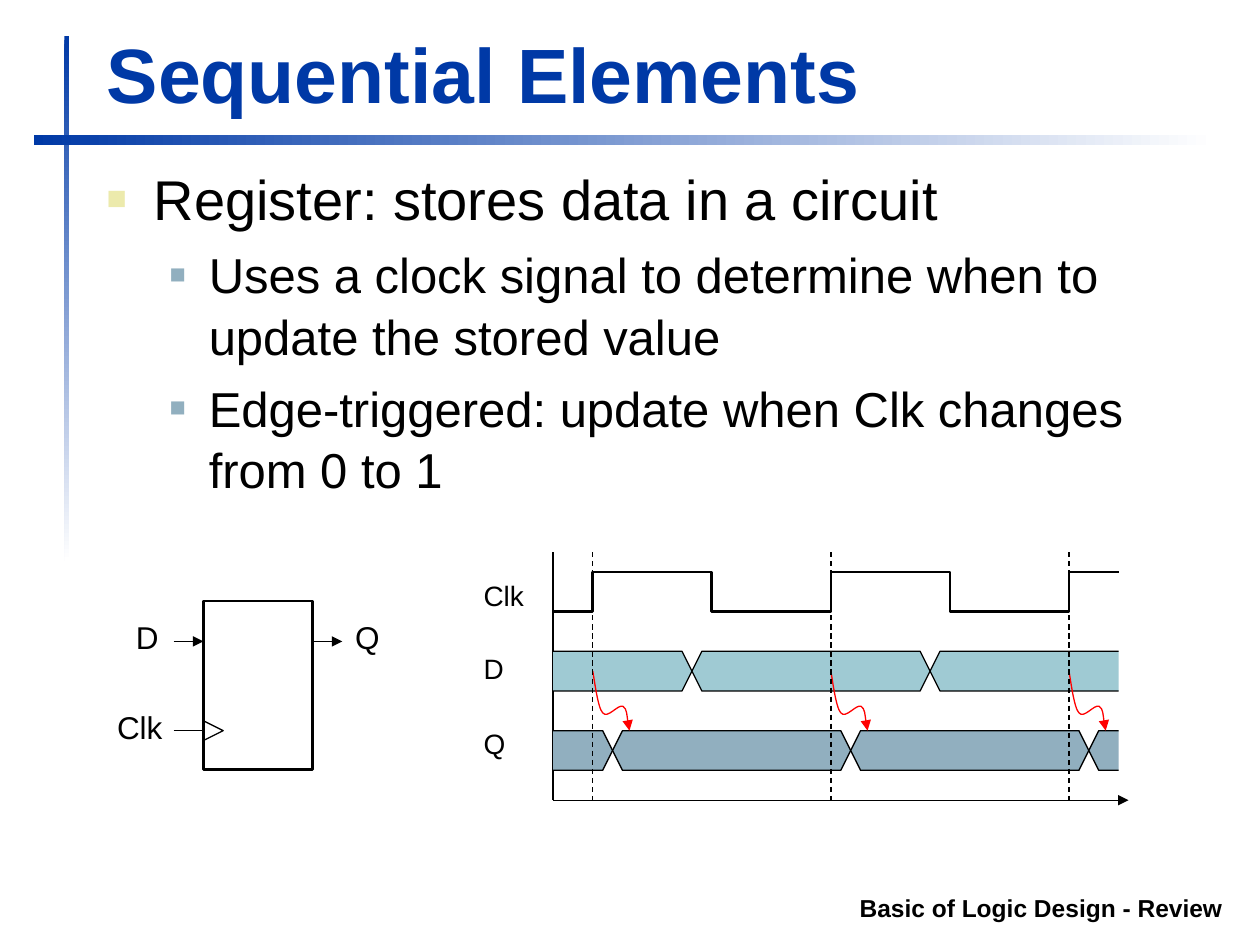
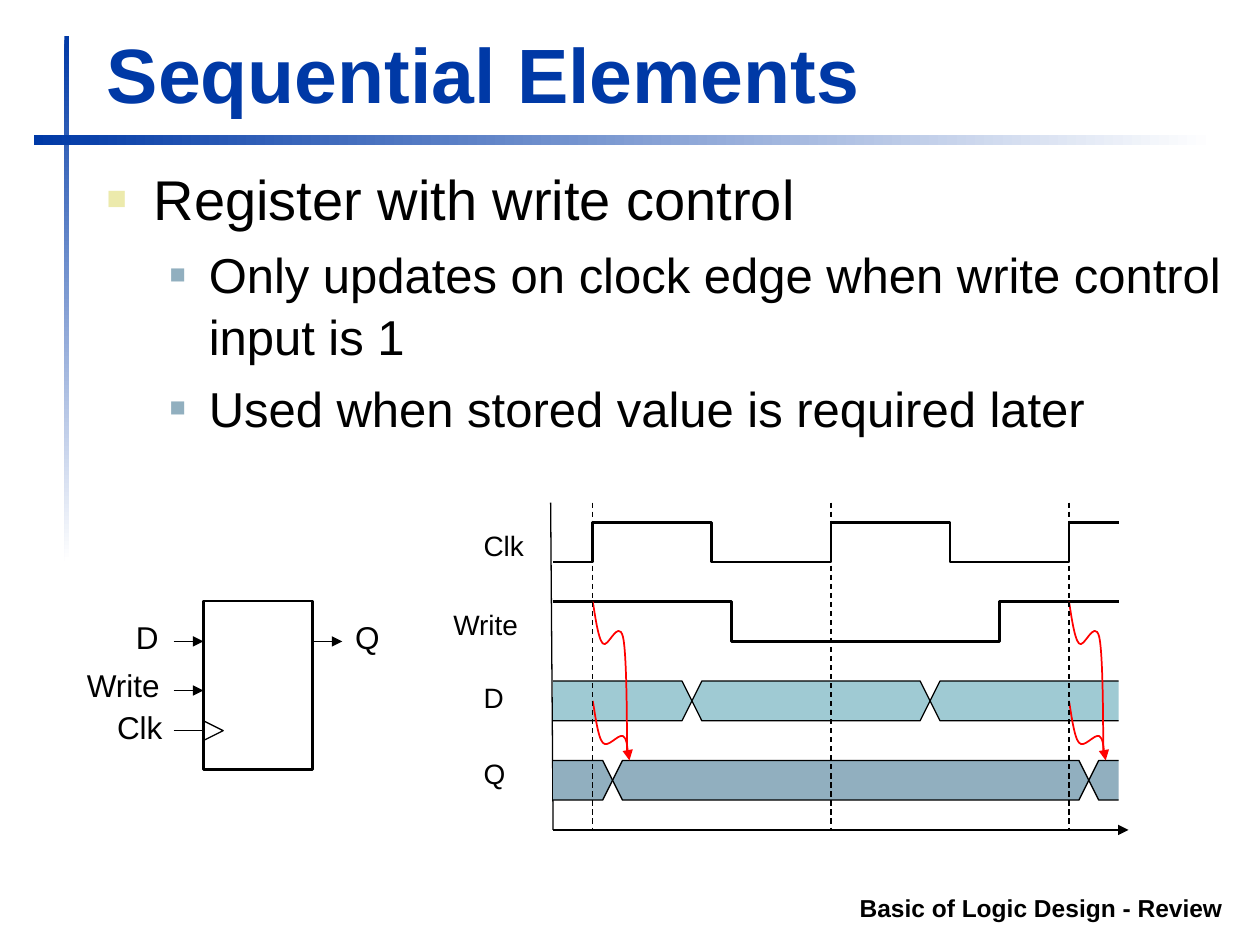
from lxml import etree
from pptx import Presentation
from pptx.dml.color import RGBColor
from pptx.enum.dml import MSO_LINE
from pptx.enum.shapes import MSO_CONNECTOR, MSO_SHAPE
from pptx.enum.text import MSO_ANCHOR, MSO_AUTO_SIZE, PP_ALIGN
from pptx.oxml.ns import qn
from pptx.util import Cm, Pt

# Constants
BLACK = RGBColor(0, 0, 0)
WHITE = RGBColor(255, 255, 255)
BLUE = RGBColor(0x00, 0x39, 0xA6)
RED = RGBColor(255, 0, 0)
TEAL = RGBColor(0x9F, 0xCA, 0xD3)
SLATE = RGBColor(0x91, 0xAF, 0xBF)
CREAM = RGBColor(0xEC, 0xEA, 0xAC)
FONT = "Arial"
DASH = MSO_LINE.DASH
STRAIGHT = MSO_CONNECTOR.STRAIGHT
RECT = MSO_SHAPE.RECTANGLE
BOTTOM = MSO_ANCHOR.BOTTOM
FIXED = MSO_AUTO_SIZE.NONE
LEFT, RIGHT = PP_ALIGN.LEFT, PP_ALIGN.RIGHT

# Bullet levels: size, left margin, hanging indent, colour, percent
LEVELS = [(32, 0.95, 0.95, CREAM, 60), (28, 2.06, 0.79, SLATE, 55)]

# Timing grid in cm
START, END = 11.15, 22.55
HIGH, SLOPE = 0.8, 0.2
HALF = 2.4
EDGES = [START + 0.8 + 2 * HALF * i for i in range(3)]

# Curves from a clock edge: start point, then three points per Bezier
WAVE = [(0, 0), (0.03, 0.15), (0.1, 0.74), (0.2, 0.84), (0.3, 0.97)]
SHORT = WAVE + [(0.51, 0.66), (0.61, 0.71),
                (0.69, 0.76), (0.71, 1.09), (0.74, 1.2)]
LONG = WAVE + [(0.51, 0.33), (0.61, 0.71),
               (0.69, 1.07), (0.69, 2.57), (0.69, 3.05)]

# Rows are distances below the top of each timing chart
PAGES = [
    dict(lines=["Register: stores data in a circuit",
                "Uses a clock signal to determine when to update the "
                "stored value",
                "Edge-triggered: update when Clk changes from 0 to 1"],
         deep=7.67, top=11.13, lean=0, write=None, data=2.0, out=3.6, base=5.0,
         cuts=[1.2, 6.0, 10.8], hits=EDGES, thick=0.75),
    dict(lines=["Register with write control",
                "Only updates on clock edge when write control input is 1",
                "Used when stored value is required later"],
         deep=6.4, top=10.13, lean=0.05, write=2.0, data=3.6, out=5.2, base=6.6,
         cuts=[1.2, 10.8], hits=EDGES[::2], thick=1),
]


def write(frame, text, size=18, bold=False, color=BLACK, align=LEFT,
          level=None):
    """Add one formatted paragraph to a text frame."""
    par = frame.add_paragraph() if frame.text else frame.paragraphs[0]
    par.alignment = align
    run = par.add_run()
    run.text = text
    if level is not None:
        size, left, hang, tint, part = LEVELS[level]
        par.space_before = Pt(size * 0.2)
        par.line_spacing = 1.05
        props = par._p.get_or_add_pPr()
        props.set("marL", str(Cm(left)))
        props.set("indent", str(-Cm(hang)))
        mark = etree.SubElement(props, qn("a:buClr"))
        etree.SubElement(mark, qn("a:srgbClr"), val=str(tint))
        etree.SubElement(props, qn("a:buSzPct"), val=str(part * 1000))
        etree.SubElement(props, qn("a:buFont"), typeface=FONT)
        etree.SubElement(props, qn("a:buChar"), char="■")
    font = run.font
    font.name, font.size, font.bold = FONT, Pt(size), bold
    font.color.rgb = color


def draw(shapes, points, width=0.75, color=BLACK, fill=None, close=False,
         arrow=False, dash=False, curve=False):
    """Draw a connector for two points, otherwise a freeform."""
    spots = [(Cm(x), Cm(y)) for x, y in points]
    if len(spots) == 2:
        item = shapes.add_connector(STRAIGHT, *spots[0], *spots[1])
    else:
        pen = shapes.build_freeform(*spots[0], scale=1.0)
        pen.add_line_segments(spots[1:], close=close)
        item = pen.convert_to_shape()
        if fill is None:
            item.fill.background()
        else:
            item.fill.solid()
            item.fill.fore_color.rgb = fill
    item.line.color.rgb = color
    item.line.width = Pt(width)
    if dash:
        item.line.dash_style = DASH
    if arrow:
        etree.SubElement(item.line._get_or_add_ln(), qn("a:tailEnd"),
                         type="triangle")
    etree.SubElement(item._element.spPr, qn("a:effectLst"))
    if curve:
        steps = list(item._element.iter(qn("a:lnTo")))
        for i in range(0, len(steps), 3):
            bend = etree.Element(qn("a:cubicBezTo"))
            steps[i].addprevious(bend)
            for step in steps[i:i + 3]:
                bend.append(step[0])
                step.getparent().remove(step)


deck = Presentation()
deck.slide_width, deck.slide_height = Cm(25.4), Cm(19.05)
layout = deck.slide_layouts[5]
slides = [deck.slides.add_slide(layout) for page in PAGES]

# Shared bars, moved to the layout
for box, angle in [((1.3, 0.72, 0.1, 10.6), 270), ((0.69, 2.72, 23.8, 0.2), 0)]:
    bar = slides[0].shapes.add_shape(RECT, *map(Cm, box))
    bar.shadow.inherit = False
    bar.line.fill.background()
    bar.fill.gradient()
    bar.fill.gradient_angle = angle
    for stop, tint, spot in zip(bar.fill.gradient_stops, (BLUE, WHITE), (0, 1)):
        stop.color.rgb, stop.position = tint, spot
    layout.shapes._spTree.append(bar._element)

for slide, page in zip(slides, PAGES):
    # Title
    title = slide.shapes.title
    title.left, title.top, title.width, title.height = map(
        Cm, (1.9, 0.4, 22.94, 2.12))
    title.text_frame.auto_size = FIXED
    title.text_frame.vertical_anchor = BOTTOM
    write(title.text_frame, "Sequential Elements", size=44, bold=True, color=BLUE)

    # Footer and bullets
    foot = slide.shapes.add_textbox(*map(Cm, (4.7, 17.74, 20.2, 0.98))).text_frame
    foot.word_wrap = True
    foot.vertical_anchor = BOTTOM
    write(foot, "Basic of Logic Design - Review", size=14, bold=True, align=RIGHT)
    body = slide.shapes.add_textbox(
        *map(Cm, (1.9, 3.13, 23, page["deep"]))).text_frame
    body.word_wrap = True
    for i, text in enumerate(page["lines"]):
        write(body, text, level=min(i, 1))

    # Register symbol
    symbol = slide.shapes.add_group_shape().shapes
    block = symbol.add_shape(RECT, *map(Cm, (4.1, 12.12, 2.2, 3.4)))
    block.shadow.inherit = False
    block.fill.background()
    block.line.color.rgb = BLACK
    block.line.width = Pt(1.5)
    draw(symbol, [(3.5, 12.93), (4.1, 12.93)], width=1, arrow=True)
    draw(symbol, [(6.3, 12.93), (6.9, 12.93)], width=1, arrow=True)
    draw(symbol, [(3.5, 14.73), (4.1, 14.73)])
    draw(symbol, [(4.1, 14.53), (4.5, 14.73), (4.1, 14.93)])
    if page["write"]:
        draw(symbol, [(3.5, 13.92), (4.1, 13.92)], width=1, arrow=True)

    # Clock and write waves
    chart = slide.shapes.add_group_shape().shapes
    top = page["top"]
    high, low = top + 0.4, top + 0.4 + HIGH
    clock = [(START, low)]
    for edge in EDGES:
        clock += [(edge, low), (edge, high)]
        if edge != EDGES[-1]:
            clock += [(edge + HALF, high), (edge + HALF, low)]
    draw(chart, clock + [(END, high)], width=1.5)
    if page["write"]:
        high = top + page["write"]
        low = high + HIGH
        fall, rise = START + 3.6, START + 9
        draw(chart, [(START, high), (fall, high), (fall, low),
                     (rise, low), (rise, high), (END, high)], width=1.5)

    # Axes
    base = top + page["base"]
    draw(chart, [(START, base), (END + 0.2, base)], arrow=True)
    draw(chart, [(START, base), (START - page["lean"], top)])

    # Labels
    labels = [(symbol, "D", 2.49, 12.34, 0.97, 18),
              (symbol, "Clk", 2.11, 14.15, 1.42, 18),
              (symbol, "Q", 6.91, 12.34, 1.02, 18),
              (chart, "Clk", 9.5, top + 0.4, 1.32, 16),
              (chart, "D", 9.5, top + page["data"] - 0.13, 0.91, 16),
              (chart, "Q", 9.5, top + page["out"] - 0.2, 0.97, 16)]
    if page["write"]:
        labels += [(symbol, "Write", 1.5, 13.31, 1.98, 18),
                   (chart, "Write", 8.89, top + page["write"], 1.83, 16)]
    for group, text, x, y, wide, size in labels:
        box = group.add_textbox(Cm(x), Cm(y), Cm(wide), Cm(size * 0.057))
        box.text_frame.word_wrap = False
        write(box.text_frame, text, size=size)

    # Data buses, open at both ends
    for row, cuts, fill in [(page["data"], [2.8, 7.6], TEAL),
                            (page["out"], page["cuts"], SLATE)]:
        y = top + row
        mid, low = y + HIGH / 2, y + HIGH
        stops = [START] + [START + cut for cut in cuts] + [END]
        for a, b in zip(stops, stops[1:]):
            if a == START:
                points = [(a, y), (b - SLOPE, y), (b, mid),
                          (b - SLOPE, low), (a, low)]
            elif b == END:
                points = [(b, y), (a + SLOPE, y), (a, mid),
                          (a + SLOPE, low), (b, low)]
            else:
                points = [(a, mid), (a + SLOPE, y), (b - SLOPE, y),
                          (b, mid), (b - SLOPE, low), (a + SLOPE, low)]
            draw(chart, points, fill=fill, close=a != START and b != END)

    # Red curves from the clock edges to the output
    curves = [(SHORT, top + page["data"] + HIGH / 2, True)]
    if page["write"]:
        curves.append((LONG, top + page["write"], False))
    for edge in page["hits"]:
        for bends, y, arrow in curves:
            draw(chart, [(edge + dx, y + dy) for dx, dy in bends],
                 width=page["thick"], color=RED, arrow=arrow, curve=True)

    # Clock edge guides
    for edge in EDGES:
        draw(chart, [(edge, top), (edge, base)], dash=True)

deck.save("out.pptx")
